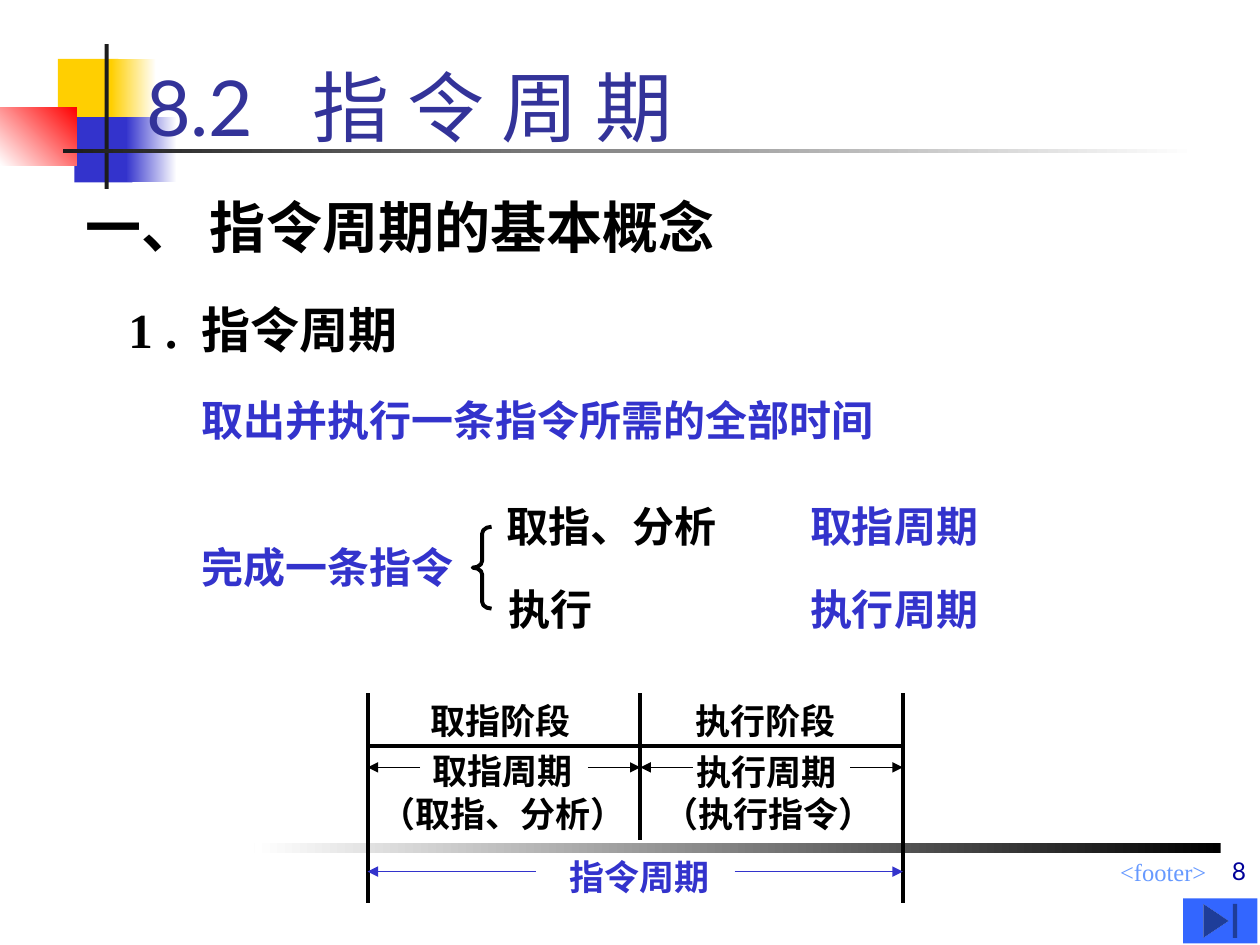
from lxml import etree
from pptx import Presentation
from pptx.dml.color import RGBColor
from pptx.enum import shapes, text
from pptx.oxml.ns import qn
from pptx.util import Cm, Pt

COLORS = {
    "white": "FFFFFF", "black": "000000", "yellow": "FFCF01", "blue": "3333CC",
    "red": "FF0000", "ink": "1C1C1C", "title": "333399", "footer": "6699FF",
    "number": "000099", "button": "3366FF",
}
SERIF, SANS = "Times New Roman", "Lato"

TITLE = ("8.2   指 令 周 期", (2.69, 0, 21.59, 3.18))

BLOCKS = [
    ((1.17, 1.19, 1.22, 1.32), ("yellow",)),
    ((2.24, 1.19, 0.91, 1.32), ("white", "yellow", 180)),
    ((1.5, 2.36, 1.17, 1.32), ("blue",)),
    ((2.54, 2.36, 1.02, 1.32), ("white", "blue", 180)),
    ((0, 2.16, 1.55, 1.17), ("red", "white", 225)),
    ((2.11, 0.89, 0.08, 2.92), ("ink",)),
    ((1.27, 3, 22.86, 0.08), ("white", "ink", 180)),
    ((5.13, 16.99, 19.48, 0.2), ("black", "white", 180)),
]

OUTLINE = [
    ("一、 指令周期的基本概念", (1.47, 3.76, 15.88, 1.63), 32, "black"),
    ("1 .  指令周期", (2.34, 5.92, 15.88, 1.45), 28, "black"),
    ("取出并执行一条指令所需的全部时间", (3.81, 7.82, 15.88, 1.27), 24, "blue"),
    ("完成一条指令", (3.81, 10.8, 7.62, 1.27), 24, "blue"),
    ("取指、分析", (9.96, 9.96, 5.51, 1.27), 24, "black"),
    ("执行", (10.01, 11.63, 4.37, 1.27), 24, "black"),
    ("取指周期", (16.08, 9.96, 4.65, 1.27), 24, "blue"),
    ("执行周期", (16.08, 11.63, 5.08, 1.27), 24, "blue"),
]

LABELS = [
    ("取指阶段", (8.43, 13.97, 3.33, 1.12), "black"),
    ("取指周期", (8.46, 14.99, 3.33, 1.12), "black"),
    ("执行阶段", (13.77, 13.97, 3.33, 1.12), "black"),
    ("执行周期", (13.79, 15.01, 3.33, 1.12), "black"),
    ("（取指、分析）", (7.42, 15.85, 5.46, 1.12), "black"),
    ("（执行指令）", (13.13, 15.85, 4.75, 1.12), "black"),
    ("指令周期", (11.23, 17.12, 3.33, 1.12), "blue"),
]

START, MIDDLE, END = 7.41, 12.91, 18.2
TOP, BASE, SHORT, BOTTOM = 13.97, 15.03, 16.93, 18.2
RULES = [
    (START, BASE, END, BASE),
    (START, TOP, START, BOTTOM),
    (MIDDLE, TOP, MIDDLE, SHORT),
    (END, TOP, END, BOTTOM),
]
SPANS = [
    (START, MIDDLE, 15.47, 1.06, "black"),
    (MIDDLE, END, 15.47, 1.06, "black"),
    (START, END, 17.57, 3.39, "blue"),
]


def rgb(name):
    return RGBColor.from_string(COLORS[name])


def lengths(values):
    return [Cm(value) for value in values]


def style(shape, content, size, color, font=SERIF, bold=False, align=text.PP_ALIGN.LEFT):
    shape.text_frame.text = content
    para = shape.text_frame.paragraphs[0]
    para.alignment = align
    span = para.runs[0].font
    span.name, span.size, span.bold = font, Pt(size), bold
    span.color.rgb = rgb(color)


def add_text(page, content, place, size, color, wrap=True, **options):
    box = page.shapes.add_textbox(*lengths(place))
    box.text_frame.word_wrap = wrap
    style(box, content, size, color, **options)
    return box


def add_block(page, place, paint):
    block = page.shapes.add_shape(shapes.MSO_SHAPE.RECTANGLE, *lengths(place))
    block.shadow.inherit = False
    block.line.fill.background()
    if len(paint) == 1:
        block.fill.solid()
        block.fill.fore_color.rgb = rgb(paint[0])
    else:
        block.fill.gradient()
        block.fill.gradient_angle = paint[2]
        for stop, name in zip(block.fill.gradient_stops, paint):
            stop.color.rgb = rgb(name)
            stop.position = float(name == paint[1])


def add_line(page, ends, color, width, arrow=False):
    line = page.shapes.add_connector(shapes.MSO_CONNECTOR.STRAIGHT, *lengths(ends))
    line.line.color.rgb = rgb(color)
    line.line.width = Pt(width)
    if arrow:
        etree.SubElement(line.line._get_or_add_ln(), qn("a:tailEnd"), type="triangle")
    etree.SubElement(line._element.spPr, qn("a:effectLst"))


def main():
    deck = Presentation()
    deck.slide_width, deck.slide_height = Cm(25.4), Cm(19.05)
    page = deck.slides.add_slide(deck.slide_layouts[5])

    for place, paint in BLOCKS:
        add_block(page, place, paint)
    add_text(page, "<footer>", (9.96, 17.15, 14.61, 0.66), 14, "footer",
             align=text.PP_ALIGN.RIGHT)

    title = page.shapes.title
    title.left, title.top, title.width, title.height = lengths(TITLE[1])
    title.text_frame.vertical_anchor = text.MSO_ANCHOR.BOTTOM
    style(title, TITLE[0], 44, "title", font=SANS)
    title.element.getparent().append(title.element)

    for content, place, size, color in OUTLINE:
        add_text(page, content, place, size, color, bold=True)

    brace = page.shapes.add_shape(shapes.MSO_SHAPE.LEFT_BRACE,
                                  *lengths((9.53, 10.62, 0.38, 1.65)))
    brace.shadow.inherit = False
    brace.adjustments[0] = 0.36
    brace.fill.background()
    brace.line.color.rgb = rgb("black")
    brace.line.width = Pt(2.25)

    for content, place, color in LABELS:
        add_text(page, content, place, 20, color, wrap=False, bold=True)
    for ends in RULES:
        add_line(page, ends, "black", 2.25)
    for left, right, level, reach, color in SPANS:
        for tip, tail in ((left, left + reach), (right, right - reach)):
            add_line(page, (tail, level, tip, level), color, 0.75, arrow=True)

    button = page.shapes.add_shape(shapes.MSO_SHAPE.ACTION_BUTTON_END,
                                   *lengths((23.85, 18.11, 1.5, 0.91)))
    button.shadow.inherit = False
    button.fill.solid()
    button.fill.fore_color.rgb = rgb("button")
    button.line.fill.background()

    number = add_text(page, "8", (13.23, 16.71, 12.14, 1.27), 14, "number",
                      font=SANS, align=text.PP_ALIGN.RIGHT)
    number.text_frame.vertical_anchor = text.MSO_ANCHOR.BOTTOM
    deck.save("out.pptx")


if __name__ == "__main__":
    main()
